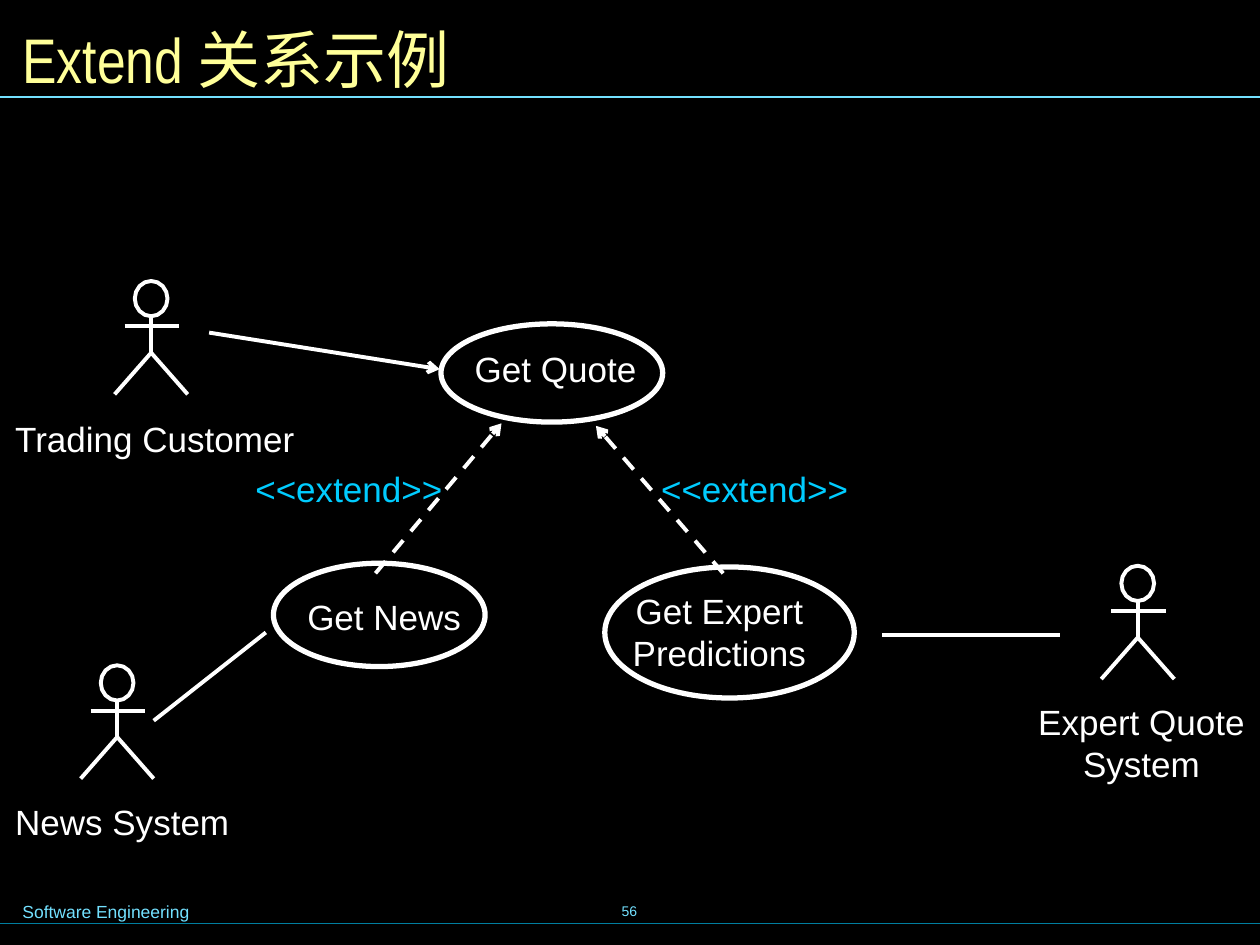
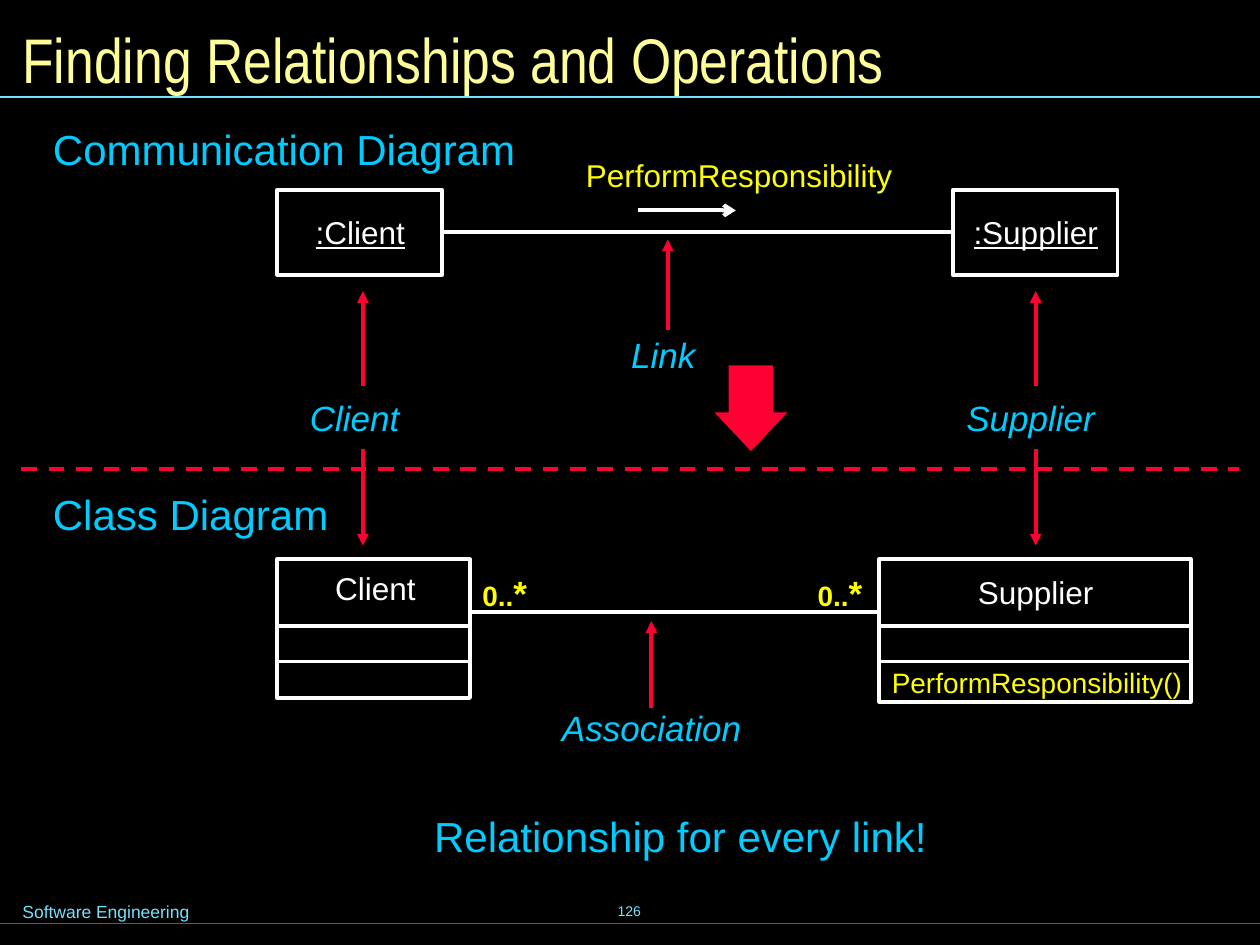
from math import cos, pi, sin

from lxml.etree import SubElement
from pptx import Presentation
from pptx.dml.color import RGBColor
from pptx.enum.dml import MSO_LINE
from pptx.enum.shapes import MSO_CONNECTOR, MSO_SHAPE as SHAPE
from pptx.enum.text import MSO_ANCHOR as ANCHOR, PP_ALIGN as ALIGN
from pptx.oxml.ns import qn
from pptx.util import Inches, Pt

BLACK = RGBColor(0x00, 0x00, 0x00)
WHITE = RGBColor(0xFF, 0xFF, 0xFF)
CREAM = RGBColor(0xFF, 0xFF, 0x99)
YELLOW = RGBColor(0xFF, 0xFF, 0x00)
CYAN = RGBColor(0x00, 0xCC, 0xFF)
PALE_CYAN = RGBColor(0x73, 0xE1, 0xFF)
TEAL = RGBColor(0x00, 0x7E, 0x9F)
RED = RGBColor(0xFF, 0x00, 0x33)


def write(slide, text, left, top, width, height, size=20, color=WHITE, font="Arial",
          align=ALIGN.LEFT, anchor=ANCHOR.TOP, inset=0.0, bold=False, italic=False,
          underline=False):
    frame = slide.shapes.add_textbox(
        Inches(left), Inches(top), Inches(width), Inches(height)).text_frame
    frame.word_wrap = True
    frame.vertical_anchor = anchor
    frame.margin_left = frame.margin_right = Inches(inset)
    frame.margin_top = frame.margin_bottom = Inches(inset / 2)
    for number, words in enumerate(text.split("\n")):
        paragraph = frame.add_paragraph() if number else frame.paragraphs[0]
        paragraph.alignment = align
        run = paragraph.add_run()
        run.text = words
        run.font.name = font
        run.font.size = Pt(size)
        run.font.color.rgb = color
        run.font.bold = bold
        run.font.italic = italic
        run.font.underline = underline
    return paragraph


def connect(slide, x1, y1, x2, y2, color=WHITE, weight=2.25, dashed=False, arrow=None):
    connector = slide.shapes.add_connector(
        MSO_CONNECTOR.STRAIGHT, Inches(x1), Inches(y1), Inches(x2), Inches(y2))
    connector.line.color.rgb = color
    connector.line.width = Pt(weight)
    if dashed:
        connector.line.dash_style = MSO_LINE.DASH
    properties = connector.element.spPr
    if arrow:
        SubElement(properties.find(qn("a:ln")), qn("a:tailEnd"), type=arrow)
    SubElement(properties, qn("a:effectLst"))
    return connector


prs = Presentation()
prs.slide_width = Inches(10)
prs.slide_height = Inches(7.5)
prs.slide_master.background.fill.solid()
prs.slide_master.background.fill.fore_color.rgb = BLACK

for title, page in [("Extend 关系示例", "56"),
                    ("Finding Relationships and Operations", "126")]:
    slide = prs.slides.add_slide(prs.slide_layouts[6])
    write(slide, page, 3.41, 6.98, 3.17, 0.5, size=8, color=PALE_CYAN,
          align=ALIGN.CENTER, anchor=ANCHOR.MIDDLE, inset=0.1)
    connect(slide, 0, 7.33, 10.04, 7.33, color=TEAL, weight=0.75)
    connect(slide, 0, 0.77, 10, 0.77, color=PALE_CYAN, weight=0.75)
    write(slide, "Software Engineering", 0.08, 7.1, 2.95, 0.27, size=10,
          color=PALE_CYAN, inset=0.1)
    write(slide, title, 0.08, 0.09, 9.84, 0.75, size=36, color=CREAM,
          font="Arial Narrow", anchor=ANCHOR.MIDDLE, inset=0.1)

use_cases, relationships = prs.slides
outlines = []

for left, top, width, height in [(4.8, 4.5, 1.98, 1.04), (2.17, 4.47, 1.68, 0.82),
                                 (3.5, 2.57, 1.76, 0.78)]:
    use_case = use_cases.shapes.add_shape(
        SHAPE.OVAL, Inches(left), Inches(top), Inches(width), Inches(height))
    outlines.append((use_case, 3))

for x, y in [(1.2, 2.23), (9.03, 4.49), (0.93, 5.28)]:
    rim = [(Inches(x + 0.13 * sin(step * pi / 8)),
            Inches(y + 0.14 - 0.14 * cos(step * pi / 8))) for step in range(16)]
    head = use_cases.shapes.build_freeform(*rim[0])
    head.add_line_segments(rim[1:], close=True)
    connect(use_cases, x - 0.21, y + 0.36, x + 0.22, y + 0.36)
    connect(use_cases, x, y + 0.28, x, y + 0.57)
    stance = use_cases.shapes.build_freeform(Inches(x - 0.29), Inches(y + 0.9))
    stance.add_line_segments([(Inches(x), Inches(y + 0.57)),
                              (Inches(x + 0.29), Inches(y + 0.9))], close=False)
    outlines += [(head.convert_to_shape(), 2.25), (stance.convert_to_shape(), 2.25)]

connect(use_cases, 1.66, 2.64, 3.49, 2.93, arrow="arrow")
connect(use_cases, 2.98, 4.55, 3.98, 3.36, dashed=True, arrow="arrow")
connect(use_cases, 5.74, 4.55, 4.73, 3.38, dashed=True, arrow="arrow")
connect(use_cases, 7, 5.04, 8.41, 5.04)
connect(use_cases, 2.11, 5.02, 1.22, 5.72)

for label, center, top, height, color in [
        ("Get Quote", 4.41, 2.7, 0.45, WHITE),
        ("Get News", 3.05, 4.67, 0.45, WHITE),
        ("Get Expert\nPredictions", 5.71, 4.62, 0.79, WHITE),
        ("<<extend>>", 2.77, 3.65, 0.45, CYAN),
        ("<<extend>>", 5.99, 3.65, 0.45, CYAN),
        ("Trading Customer", 1.23, 3.25, 0.45, WHITE),
        ("Expert Quote\nSystem", 9.06, 5.5, 0.79, WHITE),
        ("News System", 0.97, 6.29, 0.45, WHITE)]:
    write(use_cases, label, center - 1.3, top, 2.6, height, color=color,
          align=ALIGN.CENTER, inset=0.12)

boxes = []
for left, top, width, height in [(2.2, 1.51, 1.31, 0.67), (7.56, 1.51, 1.31, 0.67),
                                 (2.2, 4.44, 1.53, 1.1), (6.98, 4.44, 2.47, 1.13)]:
    box = relationships.shapes.add_shape(
        SHAPE.RECTANGLE, Inches(left), Inches(top), Inches(width), Inches(height))
    boxes.append(box)
    outlines.append((box, 2.25))
client_object, supplier_object = boxes[:2]

for shape, weight in outlines:
    shape.shadow.inherit = False
    shape.fill.background()
    shape.line.color.rgb = WHITE
    shape.line.width = Pt(weight)

link = connect(relationships, 3.51, 1.84, 7.56, 1.84)
link.begin_connect(client_object, 3)
link.end_connect(supplier_object, 1)
connect(relationships, 5.06, 1.67, 5.84, 1.67, arrow="arrow")
connect(relationships, 3.74, 4.86, 6.98, 4.86)
for left, right in [(2.2, 3.73), (6.98, 9.45)]:
    for divider in (4.97, 5.25):
        connect(relationships, left, divider, right, divider)

connect(relationships, 0.17, 3.72, 9.83, 3.72, color=RED, dashed=True)
for x, start, end in [(5.3, 2.62, 1.9), (5.17, 5.62, 4.93),
                      (2.88, 3.06, 2.31), (2.88, 3.56, 4.33),
                      (8.22, 3.06, 2.31), (8.22, 3.56, 4.33)]:
    connect(relationships, x, start, x, end, color=RED, arrow="triangle")

step_down = relationships.shapes.add_shape(
    SHAPE.DOWN_ARROW, Inches(5.67), Inches(2.9), Inches(0.58), Inches(0.68))
step_down.adjustments[0] = 0.61
step_down.adjustments[1] = 0.53
step_down.shadow.inherit = False
step_down.fill.solid()
step_down.fill.fore_color.rgb = RED
step_down.line.fill.background()

for heading, top, width in [("Communication Diagram", 0.98, 4.11),
                            ("Class Diagram", 3.88, 2.4)]:
    write(relationships, heading, 0.42, top, width, 0.4, size=24, color=CYAN)

for role, left, top, width in [("Link", 5.01, 2.65, 0.6), ("Association", 4.46, 5.61, 1.5),
                               ("Client", 2.46, 3.15, 0.8), ("Supplier", 7.67, 3.15, 1.1)]:
    write(relationships, role, left, top, width, 0.33, color=CYAN, italic=True)

for name, center, top, underline in [
        (":Client", 2.86, 1.69, True), (":Supplier", 8.22, 1.69, True),
        ("Client", 2.98, 4.52, False), ("Supplier", 8.22, 4.55, False)]:
    write(relationships, name, center - 0.57, top, 1.14, 0.3, size=18,
          align=ALIGN.CENTER, underline=underline)

for left in (3.73, 6.39):
    multiplicity = write(relationships, "0..", left, 4.49, 0.61, 0.44, size=16,
                         color=YELLOW, bold=True, inset=0.1)
    star = multiplicity.add_run()
    star.text = "*"
    star.font.name = "Arial"
    star.font.size = Pt(20)
    star.font.bold = True
    star.font.color.rgb = YELLOW

write(relationships, "PerformResponsibility", 4.65, 1.24, 3.04, 0.3, size=18, color=YELLOW)
write(relationships, "PerformResponsibility()", 6.98, 5.23, 2.58, 0.37, size=16,
      color=YELLOW, inset=0.1)
write(relationships, "Relationship for every link!", 2.61, 6.37, 5.58, 0.52, size=24,
      color=CYAN, align=ALIGN.CENTER, inset=0.12)

prs.save("out.pptx")
